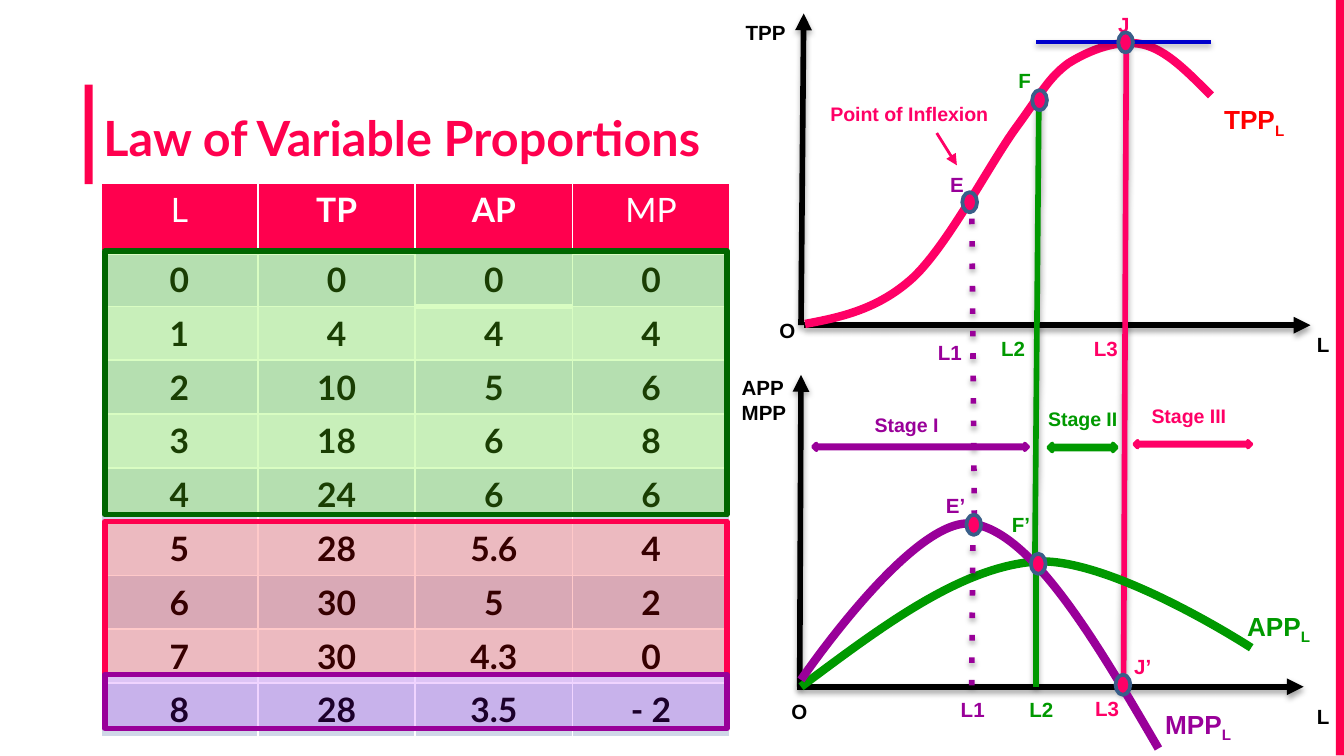
from dataclasses import dataclass

from lxml.etree import SubElement as Sub
from pptx import Presentation
from pptx.dml.color import RGBColor as RGB
from pptx.enum.shapes import MSO_CONNECTOR as Link, MSO_SHAPE as Kind
from pptx.enum.text import MSO_ANCHOR as Anchor, MSO_AUTO_SIZE as Auto, PP_ALIGN as Align
from pptx.oxml.ns import qn
from pptx.util import Inches, Pt


@dataclass(frozen=True)
class Theme:
    red: str = "FF004E"
    pink: str = "FF0066"
    green: str = "009900"
    violet: str = "990099"
    blue: str = "0000CC"
    rim: str = "395E89"
    black: str = "000000"
    white: str = "FFFFFF"
    label_red: str = "FF0000"
    bands: tuple = ("E8ECF4", "CFD7E7")
    head_font: str = "Lato"
    label_font: str = "Arial"
    title: float = 26
    cell: float = 18
    curve: float = 14
    label: float = 11
    note: float = 10.5


class Deck:
    def __init__(self, theme, slide):
        self.theme, self.slide = theme, slide

    def style(self, font, name, size, color, bold=True):
        font.name, font.size, font.bold = name, Pt(size), bold
        font.color.rgb = RGB.from_string(color)

    def stroke(self, shape, color, width):
        shape.line.color.rgb = RGB.from_string(color)
        shape.line.width = Pt(width)

    def title(self, text, *box):
        shape = self.slide.shapes.title
        shape.left, shape.top, shape.width, shape.height = map(Inches, box)
        frame = shape.text_frame
        frame.text = text
        frame.vertical_anchor, frame.auto_size = Anchor.MIDDLE, Auto.NONE
        part = frame.paragraphs[0]
        part.alignment = Align.LEFT
        self.style(part.runs[0].font, self.theme.head_font, self.theme.title, self.theme.red)

    def label(self, text, x, y, w, h=0.29, color=Theme.black, size=Theme.label, sub=""):
        frame = self.slide.shapes.add_textbox(*map(Inches, (x, y, w, h))).text_frame
        frame.word_wrap, frame.auto_size = False, Auto.SHAPE_TO_FIT_TEXT
        frame.text = text
        if sub:
            run = frame.paragraphs[0].add_run()
            run.text = sub
            run._r.get_or_add_rPr().set("baseline", "-25000")
        for part in frame.paragraphs:
            for run in part.runs:
                self.style(run.font, self.theme.label_font, size, color)

    def line(self, start, end, color, width=3, dash=None, arrow=False, shade=True):
        link = self.slide.shapes.add_connector(Link.STRAIGHT, *map(Inches, start + end))
        self.stroke(link, color, width)
        props = link._element.spPr
        pen = props.find(qn("a:ln"))
        if dash:
            Sub(pen, qn("a:prstDash"), val=dash)
        if arrow:
            Sub(pen, qn("a:tailEnd"), type="triangle")
        effect = Sub(props, qn("a:effectLst"))
        if shade:
            glow = Sub(effect, qn("a:outerShdw"), blurRad=str(Pt(3.1)), dist=str(Pt(1.8)),
                       dir="5400000", rotWithShape="0")
            tint = Sub(glow, qn("a:srgbClr"), val=self.theme.black)
            Sub(tint, qn("a:alpha"), val="35000")

    def curve(self, points, color):
        """Draw a start point followed by cubic Bezier triples."""
        start, *rest = [tuple(map(Inches, point)) for point in points]
        pen = self.slide.shapes.build_freeform(*start)
        pen.add_line_segments(rest, close=False)
        shape = pen.convert_to_shape()
        shape.shadow.inherit = False
        shape.fill.background()
        self.stroke(shape, color, 4.5)
        path = shape._element.spPr.find(".//" + qn("a:path"))
        steps = path.findall(qn("a:lnTo"))
        for i in range(0, len(steps), 3):
            bend = Sub(path, qn("a:cubicBezTo"))
            for step in steps[i:i + 3]:
                bend.append(step[0])
                path.remove(step)

    def shape(self, kind, box, fill, edge=None, width=2, alpha=None):
        shape = self.slide.shapes.add_shape(kind, *map(Inches, box))
        shape.shadow.inherit = False
        shape.fill.solid()
        shape.fill.fore_color.rgb = RGB.from_string(fill)
        if alpha:
            tint = shape._element.spPr.find(qn("a:solidFill"))[0]
            Sub(tint, qn("a:alpha"), val=str(alpha * 1000))
        if edge:
            self.stroke(shape, edge, width)
        else:
            shape.line.fill.background()

    def edges(self, cell, above, below):
        props = cell._tc.get_or_add_tcPr()
        for i, (side, width) in enumerate(zip("LRTB", (1, 1, above, below))):
            pen = props.makeelement(qn("a:ln" + side), {"w": str(Pt(width))})
            Sub(Sub(pen, qn("a:solidFill")), qn("a:srgbClr"), val=self.theme.white)
            props.insert(i, pen)

    def table(self, rows, x, y, wide, heights):
        t = self.theme
        size = Inches(wide * len(rows[0])), Inches(sum(heights))
        grid = self.slide.shapes.add_table(len(rows), len(rows[0]), Inches(x), Inches(y), *size).table
        for col in grid.columns:
            col.width = Inches(wide)

        def rule(r, c):
            """Width of the line below a cell; the AP column has its heavy one a row lower."""
            return 3 if r == (1 if c == 2 else 0) else 1

        for r, row in enumerate(rows):
            grid.rows[r].height = Inches(heights[r])
            for c, text in enumerate(row):
                cell = grid.cell(r, c)
                cell.fill.solid()
                cell.fill.fore_color.rgb = RGB.from_string(t.bands[r % 2] if r else t.red)
                cell.text = text
                part = cell.text_frame.paragraphs[0]
                part.alignment = Align.CENTER
                self.style(part.runs[0].font, t.head_font, t.cell, t.black if r else t.white,
                           bold=r > 0 or c in (1, 2))
                self.edges(cell, rule(r - 1, c), rule(r, c))


def main():
    show = Presentation()
    show.slide_width, show.slide_height = Inches(10), Inches(10 * 9 / 16)
    t = Theme()
    deck = Deck(t, show.slides.add_slide(show.slide_layouts[5]))

    for box in ((0.63, 0.63, 0.06, 0.74), (9.94, 0, 0.06, 5.62)):
        deck.shape(Kind.RECTANGLE, box, t.red)
    deck.title("Law of Variable Proportions", 0.67, 0.55, 4.78, 0.94)

    # Axes
    for start, end in (((5.96, 2.42), (5.98, 0.1)), ((5.98, 2.42), (9.75, 2.42)),
                       ((5.95, 5.11), (5.96, 2.79)), ((5.93, 5.11), (9.7, 5.11))):
        deck.line(start, end, t.black, arrow=True)

    # Curves and the lines that mark L1, L2 and L3
    deck.curve([(5.99, 2.41), (6.26, 2.36), (6.54, 2.3), (6.8, 2.06),
                (7.06, 1.81), (7.37, 1.21), (7.56, 0.95),
                (7.75, 0.69), (7.8, 0.58), (7.95, 0.47),
                (8.11, 0.37), (8.32, 0.29), (8.5, 0.33),
                (8.68, 0.37), (8.84, 0.54), (9.01, 0.71)], t.pink)
    deck.line((7.71, 0.31), (9.01, 0.31), t.blue, 2)
    deck.line((8.38, 0.33), (8.36, 5.15), t.pink)
    deck.line((7.73, 0.72), (7.7, 4.18), t.green)
    deck.line((7.23, 1.46), (7.25, 3.9), t.violet, dash="dot")
    deck.curve([(5.96, 5.11), (6.55, 4.67), (7.13, 4.23), (7.69, 4.18),
                (8.25, 4.13), (9.31, 4.82), (9.31, 4.82)], t.green)
    deck.curve([(8.62, 5.57), (8.16, 4.78), (7.69, 3.98), (7.25, 3.9),
                (6.81, 3.81), (5.96, 5.06), (5.96, 5.06)], t.violet)
    deck.line((7.24, 3.89), (7.23, 5.11), t.violet, dash="dot")
    deck.line((7.71, 4.19), (7.71, 5.11), t.green)
    deck.line((6.97, 0.99), (7.12, 1.23), t.pink, 1.5, arrow=True, shade=False)

    # Labels
    for text, x, y, w in (("TPP", 5.45, 0.1, 0.5), ("O", 5.7, 2.32, 0.32), ("L", 9.7, 2.42, 0.3),
                          ("L", 9.7, 5.19, 0.3), ("O", 5.79, 5.15, 0.32)):
        deck.label(text, x, y, w)
    deck.label("APP\nMPP", 5.42, 2.74, 0.54, 0.47)
    for text, x, y, w, color in (("TPP", 9.01, 0.72, 0.66, t.label_red),
                                 ("APP", 9.18, 4.49, 0.69, t.green),
                                 ("MPP", 8.57, 5.22, 0.71, t.violet)):
        deck.label(text, x, y, w, 0.34, color, t.curve, sub="L")
    for text, x, y, w, color in (
            ("J", 8.22, 0.04, 0.29, t.pink), ("J’", 8.34, 4.82, 0.33, t.pink),
            ("E", 6.97, 1.23, 0.31, t.violet), ("E’", 6.94, 3.62, 0.35, t.violet),
            ("F", 7.48, 0.46, 0.3, t.green), ("F’", 7.43, 3.76, 0.34, t.green),
            ("L1", 6.88, 2.48, 0.38, t.violet), ("L1", 7.05, 5.14, 0.38, t.violet),
            ("L2", 7.35, 2.45, 0.38, t.green), ("L2", 7.56, 5.14, 0.38, t.green),
            ("L3", 8.04, 2.45, 0.38, t.pink), ("L3", 8.05, 5.13, 0.38, t.pink)):
        deck.label(text, x, y, w, color=color)
    for text, x, y, w, color in (("Point of Inflexion", 6.08, 0.71, 1.39, t.pink),
                                 ("Stage I", 6.41, 3.02, 0.68, t.violet),
                                 ("Stage II", 7.7, 2.98, 0.72, t.green),
                                 ("Stage III", 8.47, 2.96, 0.76, t.pink)):
        deck.label(text, x, y, w, 0.28, color, t.note)

    # Stage spans and key points
    for box, color in (((7.8, 3.3, 0.51, 0.06), t.green), ((6.05, 3.3, 1.6, 0.05), t.violet),
                       ((8.44, 3.28, 0.87, 0.05), t.pink)):
        deck.shape(Kind.LEFT_RIGHT_ARROW, box, color, color)
    for x, y in ((7.67, 4.12), (7.19, 3.83), (8.3, 5.02), (7.16, 1.43), (7.68, 0.67), (8.32, 0.24)):
        deck.shape(Kind.OVAL, (x, y, 0.11, 0.15), t.pink, t.rim)

    rows = [("L", "TP", "AP", "MP"), ("0", "0", "0", "0"), ("1", "4", "4", "4"),
            ("2", "10", "5", "6"), ("3", "18", "6", "8"), ("4", "24", "6", "6"),
            ("5", "28", "5.6", "4"), ("6", "30", "5", "2"), ("7", "30", "4.3", "0"),
            ("8", "28", "3.5", "- 2")]
    deck.table(rows, 0.75, 1.36, 1.17, [0.52] + [0.4] * 9)
    for y, h, fill, alpha, edge in ((1.87, 1.96, "69F90E", 25, "006600"),
                                    (3.88, 1.14, "FF0000", 21, t.red),
                                    (5.02, 0.4, "AA00FF", 17, t.violet)):
        deck.shape(Kind.RECTANGLE, (0.78, y, 4.63, h), fill, edge, 3, alpha)

    show.save("out.pptx")


if __name__ == "__main__":
    main()
